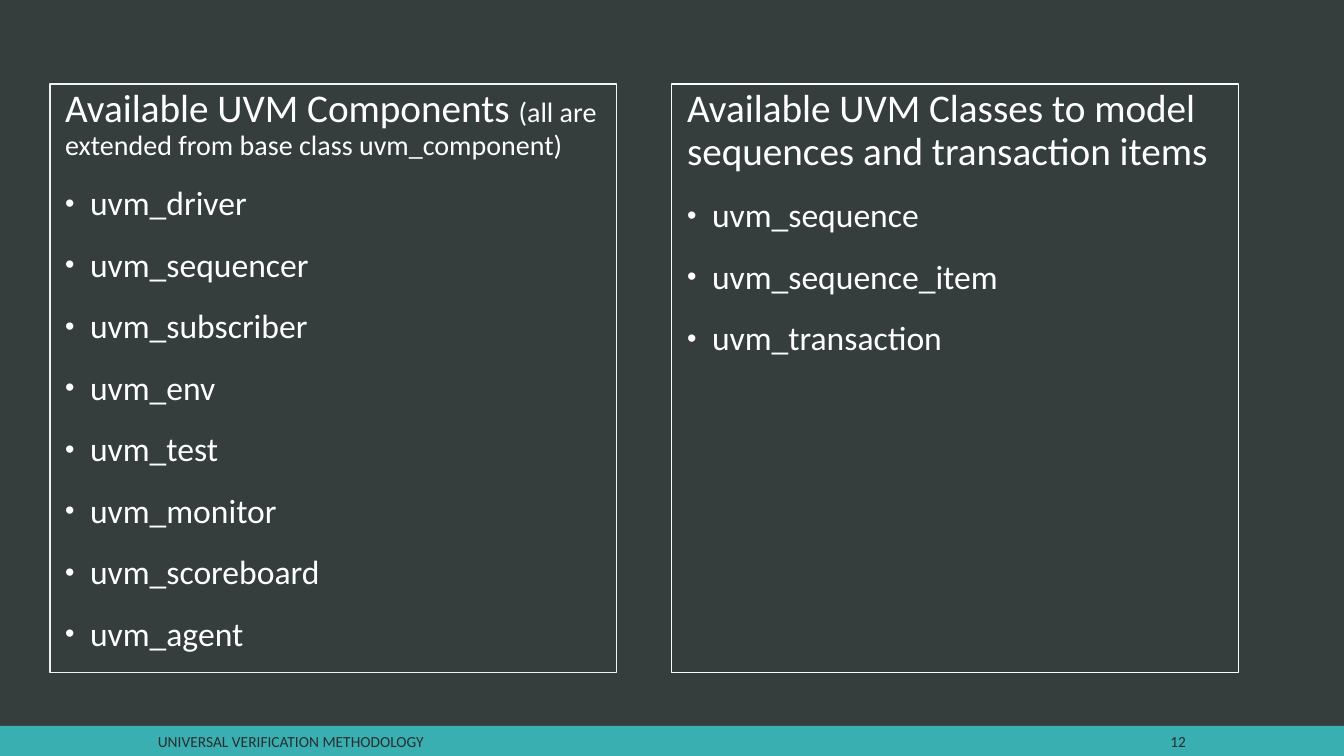
from dataclasses import dataclass

from lxml import etree
from pptx import Presentation
from pptx import util as u
from pptx.dml import color
from pptx.enum import shapes, text
from pptx.oxml import ns

PANELS = [
    {
        "heading": [
            ("Available UVM Components ", "heading"),
            ("(all are extended from base class uvm_component)", "note"),
        ],
        "items": [
            "uvm_driver", "uvm_sequencer", "uvm_subscriber", "uvm_env",
            "uvm_test", "uvm_monitor", "uvm_scoreboard", "uvm_agent",
        ],
        "outline": "F2F2F2",
    },
    {
        "heading": [
            ("Available UVM Classes to model sequences and transaction items", "heading"),
        ],
        "items": ["uvm_sequence", "uvm_sequence_item", "uvm_transaction"],
        "outline": "FFFFFF",
    },
]
FOOTERS = [
    ("UNIVERSAL VERIFICATION METHODOLOGY", 148, 789, text.PP_ALIGN.LEFT),
    ("12", 1126, 70, text.PP_ALIGN.RIGHT),
]

SLIDE_WIDTH, SLIDE_HEIGHT = 1344, 756
PANEL_LEFT, PANEL_TOP, PANEL_WIDTH, PANEL_HEIGHT = 50, 84, 567, 589
PANEL_STEP = 622
BAR_HEIGHT = 30
FOOTER_TOP, FOOTER_HEIGHT = 728, 26
HEADING_MARGIN, ITEM_MARGIN, ITEM_INDENT = 5, 30, -25


@dataclass(frozen=True)
class Theme:
    font: str = "Calibri"
    background: str = "363D3D"
    bar: str = "3AAFB2"
    text: str = "FFFFFF"
    footer_text: str = "282E2E"
    heading: int = 28
    note: int = 20
    item: int = 24
    footer: int = 11


THEME = Theme()


def px(length):
    return u.Emu(round(length * 914400 / 100.8))


def rgb(value):
    return color.RGBColor.from_string(value)


def place(shape, left, top, width, height):
    shape.left, shape.top = px(left), px(top)
    shape.width, shape.height = px(width), px(height)


def add_run(paragraph, words, size, ink):
    run = paragraph.add_run()
    run.text = words
    run.font.name = THEME.font
    run.font.size = u.Pt(size)
    run.font.color.rgb = rgb(ink)


def format_paragraph(paragraph, margin, indent, bullet):
    paragraph.alignment = text.PP_ALIGN.LEFT
    paragraph.line_spacing = 0.9
    paragraph.space_before = u.Pt(18)
    properties = paragraph._p.get_or_add_pPr()
    properties.set("marL", str(px(margin)))
    properties.set("indent", str(px(indent)))
    if bullet:
        etree.SubElement(properties, ns.qn("a:buSzPct"), val="80000")
        etree.SubElement(properties, ns.qn("a:buChar"), char="•")
    else:
        etree.SubElement(properties, ns.qn("a:buNone"))


def fill_panel(shape, panel, left):
    place(shape, left, PANEL_TOP, PANEL_WIDTH, PANEL_HEIGHT)
    shape.line.color.rgb = rgb(panel["outline"])
    shape.line.width = u.Pt(0.75)
    frame = shape.text_frame
    frame.word_wrap = True
    frame.auto_size = text.MSO_AUTO_SIZE.NONE
    frame.vertical_anchor = text.MSO_ANCHOR.TOP

    heading = frame.paragraphs[0]
    format_paragraph(heading, HEADING_MARGIN, 0, False)
    for words, role in panel["heading"]:
        add_run(heading, words, getattr(THEME, role), THEME.text)
    for item in panel["items"]:
        paragraph = frame.add_paragraph()
        format_paragraph(paragraph, ITEM_MARGIN, ITEM_INDENT, True)
        add_run(paragraph, item, THEME.item, THEME.text)


def add_bar(slide):
    bar = slide.shapes.add_shape(
        shapes.MSO_SHAPE.RECTANGLE,
        0, px(SLIDE_HEIGHT - BAR_HEIGHT), px(SLIDE_WIDTH), px(BAR_HEIGHT),
    )
    bar.shadow.inherit = False
    bar.fill.solid()
    bar.fill.fore_color.rgb = rgb(THEME.bar)
    bar.line.fill.background()


def add_footer(slide, words, left, width, alignment):
    box = slide.shapes.add_textbox(
        px(left), px(FOOTER_TOP), px(width), px(FOOTER_HEIGHT)
    )
    frame = box.text_frame
    frame.word_wrap = True
    frame.vertical_anchor = text.MSO_ANCHOR.MIDDLE
    paragraph = frame.paragraphs[0]
    paragraph.alignment = alignment
    add_run(paragraph, words, THEME.footer, THEME.footer_text)


def main():
    presentation = Presentation()
    presentation.slide_width = px(SLIDE_WIDTH)
    presentation.slide_height = px(SLIDE_HEIGHT)
    two_content = presentation.slide_layouts[3]
    slide = presentation.slides.add_slide(two_content)
    slide.background.fill.solid()
    slide.background.fill.fore_color.rgb = rgb(THEME.background)

    title, *bodies = slide.placeholders
    title.element.getparent().remove(title.element)
    add_bar(slide)
    for index, (body, panel) in enumerate(zip(bodies, PANELS)):
        fill_panel(body, panel, PANEL_LEFT + index * PANEL_STEP)
    for footer in FOOTERS:
        add_footer(slide, *footer)
    presentation.save("out.pptx")


if __name__ == "__main__":
    main()
